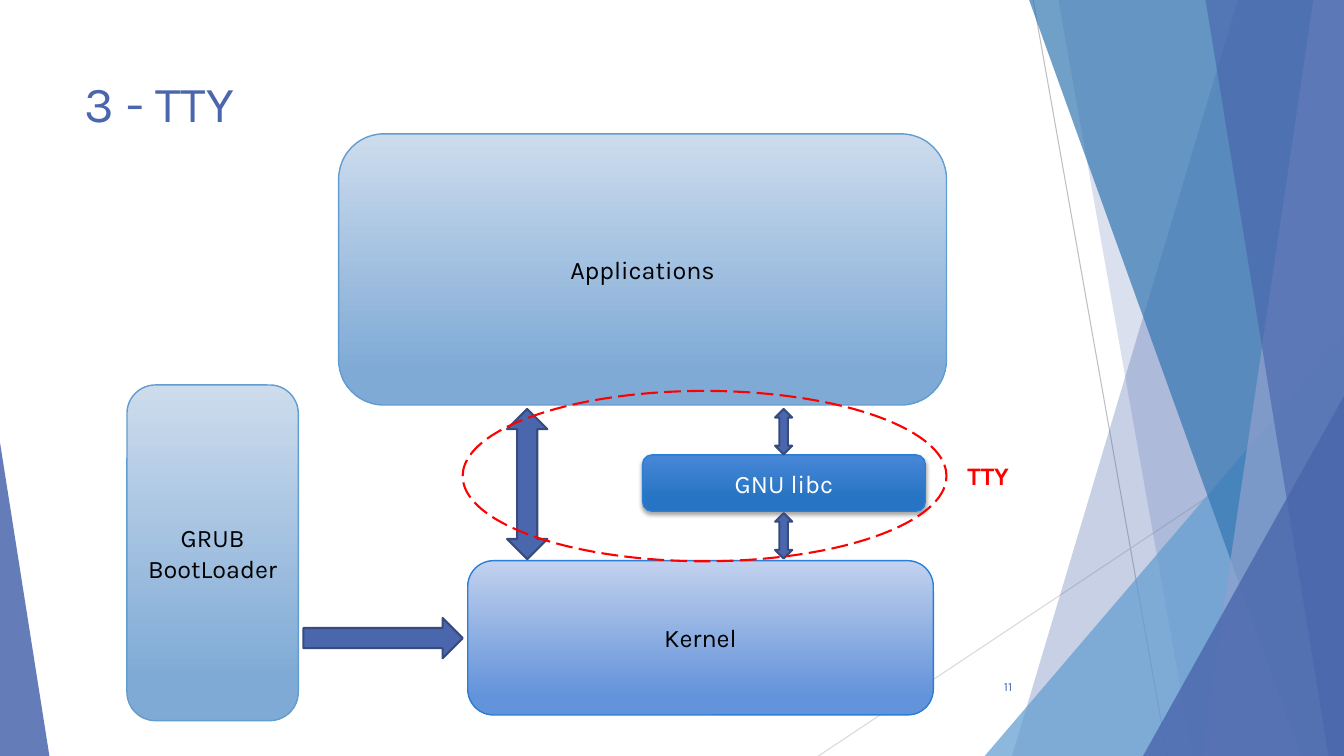
from dataclasses import dataclass

from lxml import etree
from pptx import Presentation
from pptx.dml.color import RGBColor
from pptx.enum.dml import MSO_LINE
from pptx.enum.shapes import MSO_CONNECTOR, MSO_SHAPE
from pptx.enum.text import MSO_ANCHOR, MSO_AUTO_SIZE, PP_ALIGN
from pptx.oxml.ns import qn
from pptx.util import Pt

W, H = 960, 540


@dataclass(frozen=True)
class Theme:
    font: str = "Karla"
    title_size: int = 36
    body_size: int = 18
    number_size: int = 9
    indigo: str = "4A66AC"
    indigo_dark: str = "374B7F"
    periwinkle: str = "90A2CF"
    sky: str = "629DD1"
    steel: str = "3477B2"
    blue: str = "297FD5"
    grey: str = "BFBFBF"
    grey_light: str = "D9D9D9"
    black: str = "000000"
    white: str = "FFFFFF"
    red: str = "FF0000"
    # Gradients: top colour, bottom colour, position of the bottom stop
    sky_gradient: tuple = ("CDDCED", "7FAAD6", 0.88)
    kernel_gradient: tuple = ("C2D1EE", "6393DA", 0.88)
    libc_gradient: tuple = ("4887D7", "2674C3", 0.78)


class Deck:
    def __init__(self, theme):
        self.theme = theme
        self.prs = Presentation()
        self.prs.slide_width, self.prs.slide_height = Pt(W), Pt(H)
        self.slide = self.prs.slides.add_slide(self.prs.slide_layouts[6])
        self.shapes = self.slide.shapes

    def rule(self, x1, y1, x2, y2, color):
        """Thin straight line."""
        line = self.shapes.add_connector(
            MSO_CONNECTOR.STRAIGHT, Pt(x1), Pt(y1), Pt(x2), Pt(y2))
        line.line.color.rgb = RGBColor.from_string(color)
        line.line.width = Pt(0.75)
        etree.SubElement(line._element.spPr, qn("a:effectLst"))

    def tint(self, sp, color, opacity):
        """Borderless see-through fill."""
        sp.shadow.inherit = False
        sp.line.fill.background()
        sp.fill.solid()
        sp.fill.fore_color.rgb = RGBColor.from_string(color)
        clr = sp._element.spPr.find(qn("a:solidFill"))[0]
        etree.SubElement(clr, qn("a:alpha"), val=str(opacity * 1000))

    def facet(self, top_x, bottom_x, color, opacity):
        """Full-height panel with a slanted left edge, up to the right edge."""
        fb = self.shapes.build_freeform(Pt(top_x), Pt(0))
        fb.add_line_segments(
            [(Pt(W), Pt(0)), (Pt(W), Pt(H)), (Pt(bottom_x), Pt(H))], close=True)
        self.tint(fb.convert_to_shape(), color, opacity)

    def corner(self, x, y, w, apex, color, opacity):
        """Triangle standing on the bottom edge."""
        sp = self.shapes.add_shape(
            MSO_SHAPE.ISOSCELES_TRIANGLE, Pt(x), Pt(y), Pt(w), Pt(H - y))
        sp.adjustments[0] = apex
        self.tint(sp, color, opacity)

    def outlined(self, kind, x, y, w, h, line, width):
        sp = self.shapes.add_shape(kind, Pt(x), Pt(y), Pt(w), Pt(h))
        sp.shadow.inherit = False
        sp.line.color.rgb = RGBColor.from_string(line)
        sp.line.width = Pt(width)
        return sp

    def set_text(self, sp, lines, size, color, align, anchor, bold=False):
        tf = sp.text_frame
        tf.word_wrap = True
        tf.vertical_anchor = anchor
        for i, text in enumerate(lines):
            p = tf.paragraphs[0] if i == 0 else tf.add_paragraph()
            p.text = text
            p.alignment = align
            p.font.name = self.theme.font
            p.font.size = Pt(size)
            p.font.bold = bold
            p.font.color.rgb = RGBColor.from_string(color)

    def block(self, lines, x, y, w, h, gradient, line, color, raised=False):
        """Rounded component box with a top-down gradient."""
        sp = self.outlined(MSO_SHAPE.ROUNDED_RECTANGLE, x, y, w, h, line, 1)
        top, bottom, end = gradient
        sp.fill.gradient()
        sp.fill.gradient_angle = 270
        for stop, rgb, pos in zip(sp.fill.gradient_stops, (top, bottom), (0, end)):
            stop.color.rgb = RGBColor.from_string(rgb)
            stop.position = pos
        if raised:
            effects = sp._element.spPr.find(qn("a:effectLst"))
            shadow = etree.SubElement(
                effects, qn("a:outerShdw"), blurRad=str(Pt(3)), dist=str(Pt(2)),
                dir="5400000", algn="ctr", rotWithShape="0")
            clr = etree.SubElement(shadow, qn("a:srgbClr"), val=self.theme.black)
            etree.SubElement(clr, qn("a:alpha"), val="35000")
        self.set_text(sp, lines, self.theme.body_size, color,
                      PP_ALIGN.CENTER, MSO_ANCHOR.MIDDLE)

    def arrow(self, kind, x, y, w, h):
        sp = self.outlined(kind, x, y, w, h, self.theme.indigo_dark, 1.5)
        sp.fill.solid()
        sp.fill.fore_color.rgb = RGBColor.from_string(self.theme.indigo)

    def highlight(self, x, y, w, h):
        """Dashed ellipse around the area of interest."""
        sp = self.outlined(MSO_SHAPE.OVAL, x, y, w, h, self.theme.red, 1.5)
        sp.fill.background()
        sp.line.dash_style = MSO_LINE.LONG_DASH

    def label(self, text, x, y, w, h, size, color, align=PP_ALIGN.LEFT,
              anchor=MSO_ANCHOR.TOP, bold=False, grow=False):
        sp = self.shapes.add_textbox(Pt(x), Pt(y), Pt(w), Pt(h))
        self.set_text(sp, [text], size, color, align, anchor, bold)
        if grow:
            sp.text_frame.auto_size = MSO_AUTO_SIZE.SHAPE_TO_FIT_TEXT


def main():
    t = Theme()
    deck = Deck(t)

    # Background facets
    deck.rule(738, 0, 833.8, H, t.grey)
    deck.rule(W, 290.2, 584.6, H, t.grey_light)
    deck.facet(884.2, 722.9, t.indigo, 30)
    deck.facet(756, 851.8, t.indigo, 20)
    deck.corner(703.4, 239.8, 256.6, 1, t.sky, 72)
    deck.facet(735.1, 929.5, t.steel, 70)
    deck.facet(938.2, 858.2, t.periwinkle, 70)
    deck.facet(861.1, 949, t.indigo, 65)
    deck.corner(816.5, 283, 143.5, 1, t.indigo, 80)
    deck.corner(0, 316.1, 35.3, 0, t.indigo, 85)

    # Title and slide number
    deck.label("3 - TTY", 53.3, 48.2, 676.8, 103.7, t.title_size, t.indigo)
    deck.label("11", 676.1, 475.9, 54, 28.8, t.number_size, t.indigo,
               PP_ALIGN.RIGHT, MSO_ANCHOR.MIDDLE)

    # System components
    deck.block(["GRUB", "BootLoader"], 90.7, 275, 122.4, 239.8,
               t.sky_gradient, t.sky, t.black)
    deck.block(["Kernel"], 334.1, 400.5, 332.6, 110.2,
               t.kernel_gradient, t.blue, t.black)
    deck.block(["GNU libc"], 459, 324.9, 201.9, 40.3,
               t.libc_gradient, t.blue, t.white, raised=True)
    deck.block(["Applications"], 241.9, 95.6, 434.2, 193.7,
               t.sky_gradient, t.sky, t.black)

    # Arrows between components
    deck.arrow(MSO_SHAPE.RIGHT_ARROW, 216.7, 441.4, 113.8, 28.8)
    deck.arrow(MSO_SHAPE.UP_DOWN_ARROW, 362.2, 292.1, 28.8, 107.3)
    for y in (366.5, 292.1):
        deck.arrow(MSO_SHAPE.UP_DOWN_ARROW, 553.7, y, 12.2, 32.4)

    # TTY area
    deck.highlight(330.5, 279.2, 345.6, 121.7)
    deck.label("TTY", 684, 325.4, 122.4, 28.8, t.body_size, t.red,
               bold=True, grow=True)

    deck.prs.save("out.pptx")


if __name__ == "__main__":
    main()
